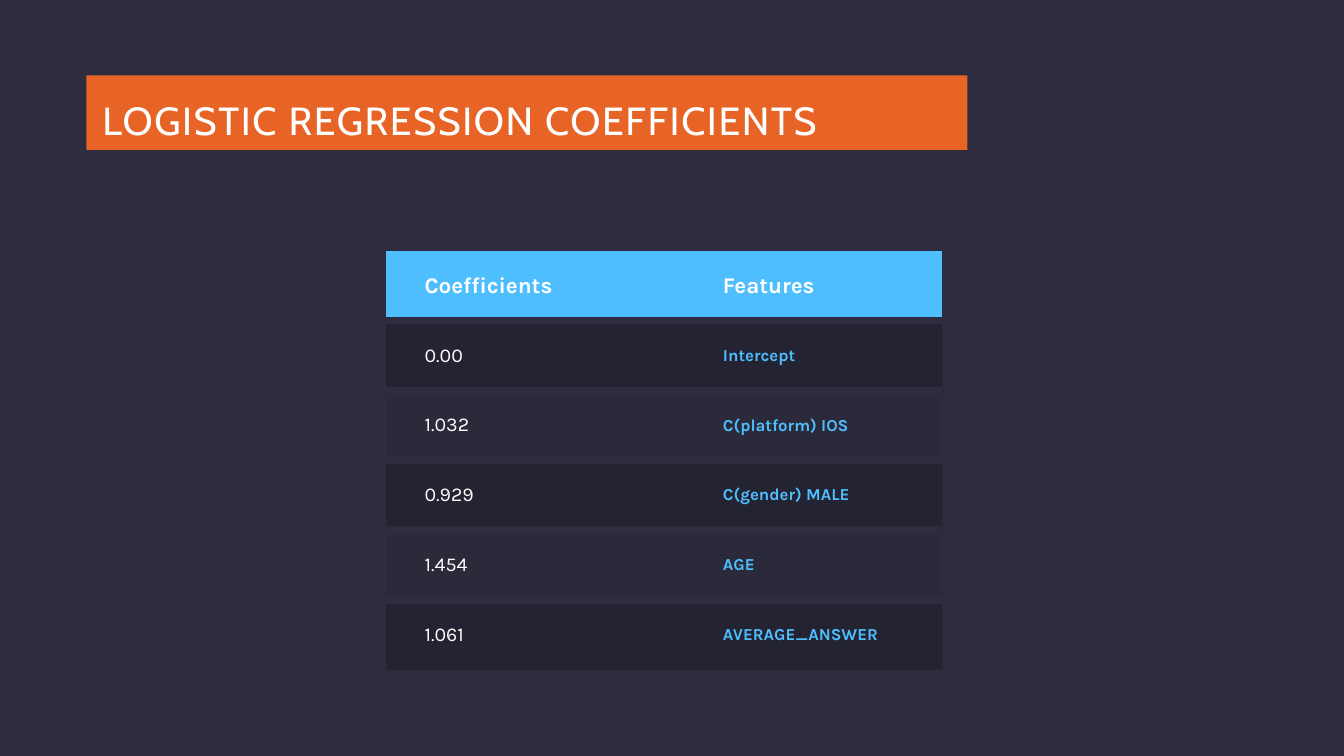
from dataclasses import dataclass

from lxml.etree import SubElement
from pptx import Presentation
from pptx.dml.color import RGBColor
from pptx.enum.shapes import MSO_SHAPE
from pptx.enum.text import MSO_ANCHOR, PP_ALIGN
from pptx.oxml.ns import qn
from pptx.util import Cm, Pt


@dataclass(frozen=True)
class Theme:
    background: str = "2E2D3F"
    banner: str = "E76426"
    accent: str = "4FBEFE"
    row: str = "171620"
    text: str = "FFFFFF"
    title_font: str = "Cabin"
    body_font: str = "Karla"
    title_size: int = 28
    header_size: int = 16
    value_size: int = 14
    feature_size: int = 12
    row_gap: int = 6


HEADER = ("Coefficients", "Features")
COEFFICIENTS = [
    ("0.00", "Intercept"),
    ("1.032", "C(platform) IOS"),
    ("0.929", "C(gender) MALE"),
    ("1.454", "AGE"),
    ("1.061", "AVERAGE_ANSWER"),
]
ROW_OPACITY = (40, 10)


class SlideBuilder:
    def __init__(self, presentation, theme):
        self.theme = theme
        self.slide = presentation.slides.add_slide(presentation.slide_layouts[6])
        self.paint(self.slide.background.fill, theme.background)

    def paint(self, fill, color, opacity=100):
        fill.solid()
        fill.fore_color.rgb = RGBColor.from_string(color)
        if opacity < 100:
            color_element = fill._xPr.find(qn("a:solidFill")).find(qn("a:srgbClr"))
            SubElement(color_element, qn("a:alpha"), val=str(opacity * 1000))

    def add_text(self, paragraph, text, color, **font_values):
        run = paragraph.add_run()
        run.text = text
        for name, value in font_values.items():
            setattr(run.font, name, value)
        run.font.color.rgb = RGBColor.from_string(color)
        return run

    def banner(self, text, left, top, width, height):
        theme = self.theme
        shape = self.slide.shapes.add_shape(
            MSO_SHAPE.RECTANGLE, Cm(left), Cm(top), Cm(width), Cm(height))
        shape.shadow.inherit = False
        self.paint(shape.fill, theme.banner)
        shape.line.fill.background()
        frame_values = {
            "word_wrap": True, "vertical_anchor": MSO_ANCHOR.MIDDLE,
            "margin_left": Cm(0.4), "margin_right": Cm(0.4),
            "margin_top": Cm(0.15), "margin_bottom": Cm(0.15),
        }
        for name, value in frame_values.items():
            setattr(shape.text_frame, name, value)
        paragraph = shape.text_frame.paragraphs[0]
        paragraph.alignment = PP_ALIGN.LEFT
        paragraph.line_spacing = 1.3
        run = self.add_text(paragraph, text, theme.text,
                            name=theme.title_font, size=Pt(theme.title_size))
        run.font._element.set("spc", "120")

    def borders(self, cell, above, below):
        """Draw background-coloured gaps above and below; hide the other edges."""
        properties = cell._tc.get_or_add_tcPr()
        edges = {"lnL": False, "lnR": False, "lnT": above, "lnB": below}
        for tag, visible in edges.items():
            width = Pt(self.theme.row_gap) if visible else 0
            line = SubElement(properties, qn(f"a:{tag}"), w=str(int(width)))
            if visible:
                fill = SubElement(line, qn("a:solidFill"))
                SubElement(fill, qn("a:srgbClr"), val=self.theme.background)
            else:
                SubElement(line, qn("a:noFill"))

    def table(self, header, rows, left, top, column_widths, row_height):
        theme = self.theme
        records = [header, *rows]
        table = self.slide.shapes.add_table(
            len(records), len(header), Cm(left), Cm(top),
            Cm(sum(column_widths)), Cm(row_height * len(records))).table
        table.first_row = table.horz_banding = False
        for column, width in zip(table.columns, column_widths):
            column.width = Cm(width)
        header_style = (theme.text, theme.header_size, True)
        body_styles = [(theme.text, theme.value_size, False),
                       (theme.accent, theme.feature_size, True)]
        for row_index, record in enumerate(records):
            table.rows[row_index].height = Cm(row_height)
            for column_index, text in enumerate(record):
                cell = table.cell(row_index, column_index)
                cell.vertical_anchor = MSO_ANCHOR.MIDDLE
                cell.margin_left = Cm(0.97)
                self.borders(cell, row_index > 0, row_index < len(records) - 1)
                if row_index == 0:
                    self.paint(cell.fill, theme.accent)
                    color, size, bold = header_style
                else:
                    self.paint(cell.fill, theme.row, ROW_OPACITY[(row_index - 1) % 2])
                    color, size, bold = body_styles[column_index]
                self.add_text(cell.text_frame.paragraphs[0], text, color,
                              name=theme.body_font, size=Pt(size), bold=bold)


def main():
    presentation = Presentation()
    presentation.slide_width = Cm(33.87)
    presentation.slide_height = Cm(19.05)
    builder = SlideBuilder(presentation, Theme())
    builder.banner("LOGISTIC REGRESSION COEFFICIENTS", 2.18, 1.9, 22.2, 1.88)
    builder.table(HEADER, COEFFICIENTS, 9.73, 6.32, (7.52, 6.5), 1.76)
    presentation.save("out.pptx")


if __name__ == "__main__":
    main()
